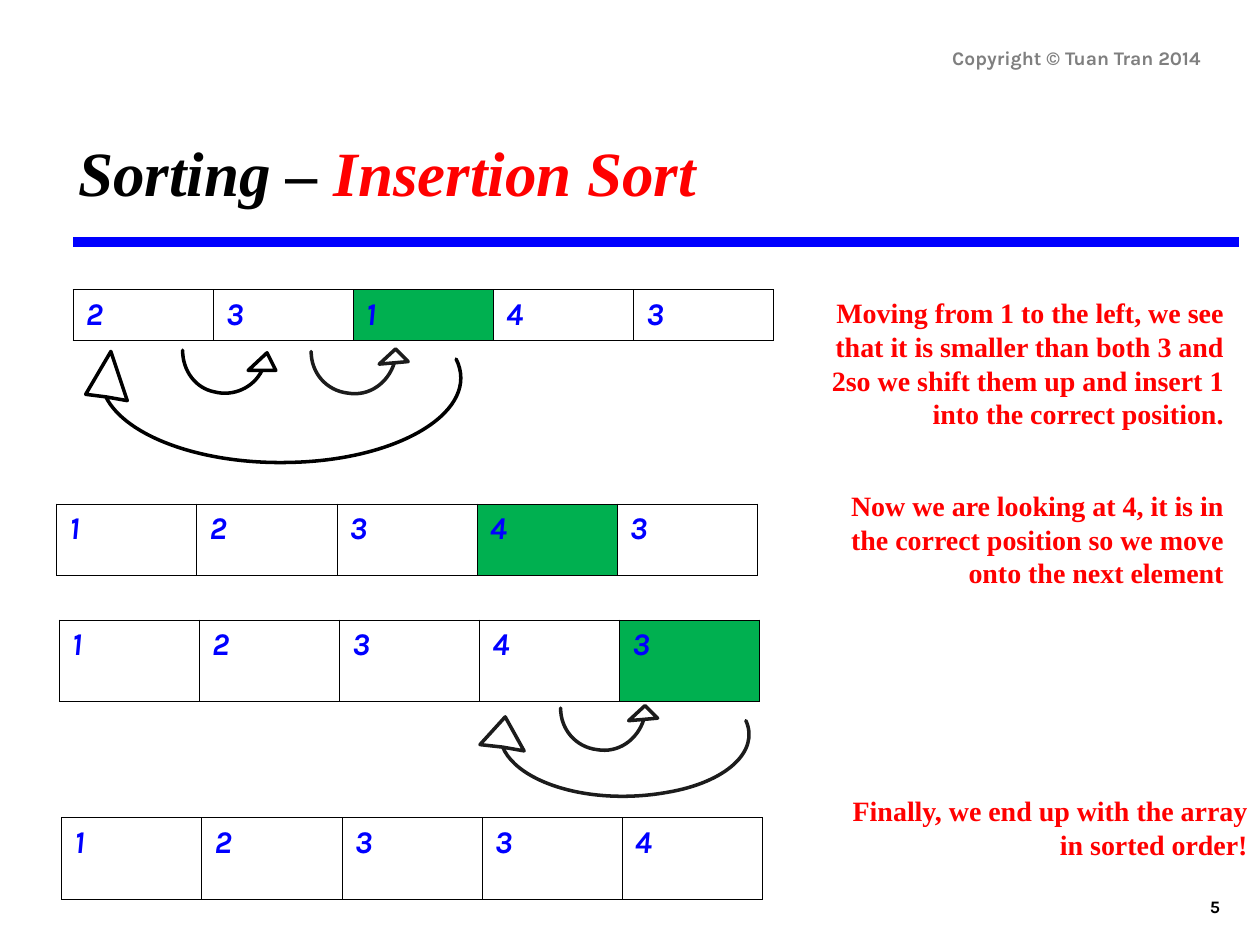
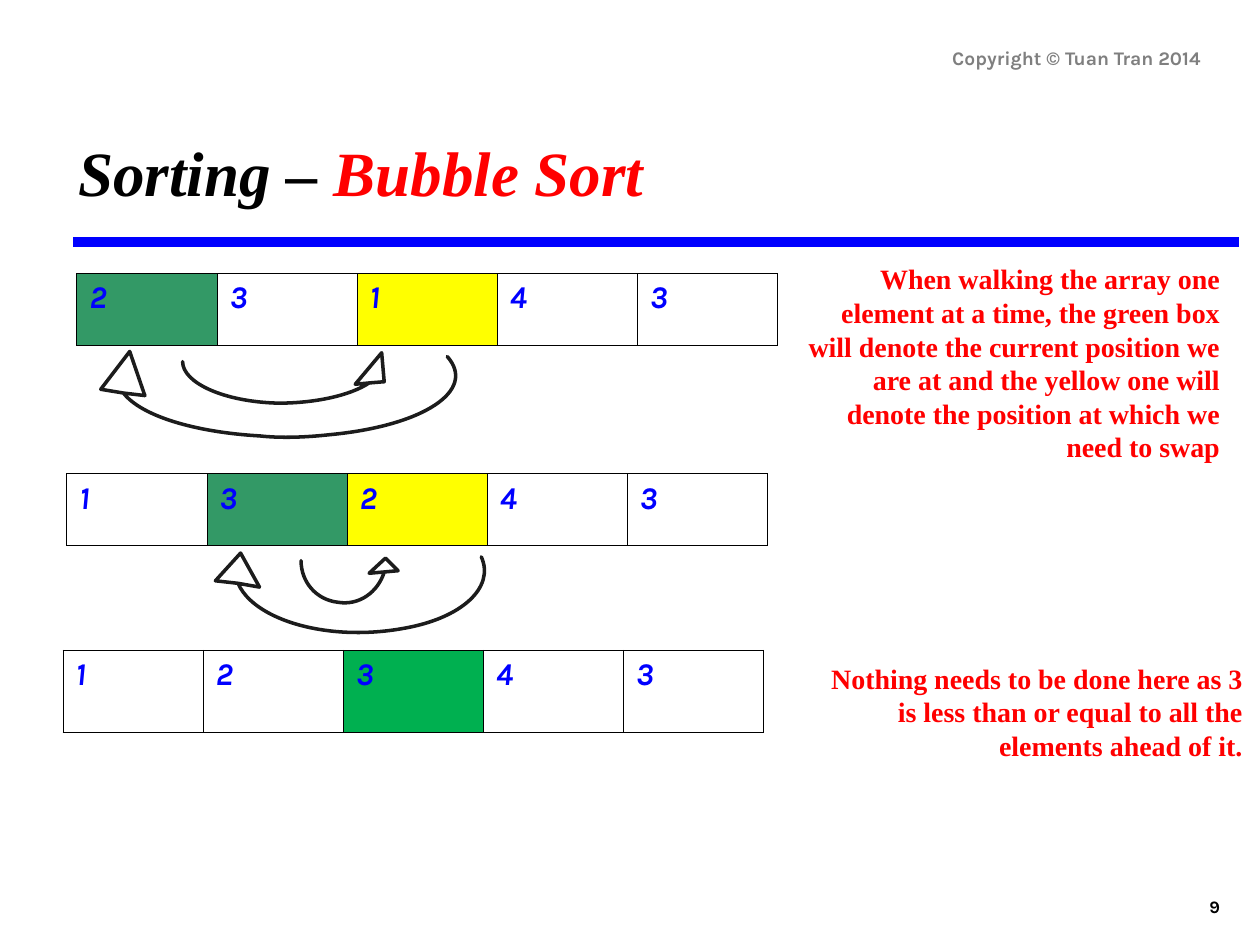
from lxml.etree import SubElement
from pptx import Presentation
from pptx.dml.color import RGBColor
from pptx.enum.shapes import MSO_CONNECTOR
from pptx.enum.text import MSO_ANCHOR, MSO_AUTO_SIZE, PP_ALIGN
from pptx.oxml.ns import qn
from pptx.util import Inches, Pt

BLACK = RGBColor(0x00, 0x00, 0x00)
WHITE = RGBColor(0xFF, 0xFF, 0xFF)
RED = RGBColor(0xFF, 0x00, 0x00)
BLUE = RGBColor(0x00, 0x00, 0xFF)
GRAY = RGBColor(0x7F, 0x7F, 0x7F)
INK = RGBColor(0x1C, 0x1C, 0x1C)
GREEN = RGBColor(0x00, 0xB0, 0x50)
SEA_GREEN = RGBColor(0x33, 0x99, 0x66)
YELLOW = RGBColor(0xFF, 0xFF, 0x00)

SERIF = "Times New Roman"
SANS = "Karla"
ARRAY_WIDTH = 5.56
NOTE_WIDTH = 3.48

HOP = {
    "size": (0.9, 0.9),
    "tail": (0.12, 0.45),
    "curves": [((0.12, 0.62), (0.24, 0.76), (0.41, 0.78)),
               ((0.58, 0.81), (0.73, 0.70), (0.78, 0.54))],
    "head": [(0.89, 0.53), (0.79, 0.43), (0.66, 0.55)]}
TALL_HOP = {
    "size": (0.9, 0.9),
    "tail": (0.12, 0.44),
    "curves": [((0.12, 0.60), (0.22, 0.74), (0.37, 0.77)),
               ((0.52, 0.81), (0.68, 0.74), (0.75, 0.60))],
    "head": [(0.86, 0.60), (0.79, 0.46), (0.64, 0.60)]}
LONG_HOP = {
    "size": (1.83, 0.9),
    "tail": (0.12, 0.45),
    "curves": [((0.12, 0.62), (0.45, 0.77), (0.88, 0.78)),
               ((1.17, 0.78), (1.45, 0.72), (1.60, 0.62))],
    "head": [(1.72, 0.61), (1.70, 0.38), (1.49, 0.63)]}
RETURN = {
    "size": (2.33, 1.33),
    "tail": (2.13, 0.55),
    "curves": [((2.24, 0.79), (1.98, 1.04), (1.50, 1.12)),
               ((1.33, 1.15), (1.14, 1.16), (0.95, 1.14)),
               ((0.57, 1.10), (0.28, 0.95), (0.20, 0.76))],
    "head": [(0.02, 0.74), (0.22, 0.52), (0.37, 0.79)]}
LONG_RETURN = {
    "size": (3.04, 1.33),
    "tail": (2.80, 0.51),
    "curves": [((3.04, 0.78), (2.61, 1.06), (1.87, 1.13)),
               ((1.69, 1.15), (1.49, 1.16), (1.31, 1.14)),
               ((0.79, 1.11), (0.37, 0.98), (0.23, 0.80))],
    "head": [(0.05, 0.77), (0.28, 0.47), (0.40, 0.82)]}
DEEP_RETURN = {
    "size": (3.18, 1.67),
    "tail": (2.98, 0.68),
    "curves": [((3.18, 1.08), (2.55, 1.48), (1.67, 1.50)),
               ((0.98, 1.52), (0.36, 1.30), (0.20, 0.98))],
    "head": [(0.04, 0.96), (0.24, 0.62), (0.37, 1.01)]}


def add_span(para, text, font=SERIF, size=16, color=RED, bold=True, italic=False):
    span = para.add_run()
    span.text = text
    span.font.name = font
    span.font.size = Pt(size)
    span.font.color.rgb = color
    span.font.bold = bold
    span.font.italic = italic


def add_label(page, text, left, top, width, height, anchor=MSO_ANCHOR.TOP, **style):
    box = page.shapes.add_textbox(Inches(left), Inches(top), Inches(width), Inches(height))
    frame = box.text_frame
    frame.word_wrap = True
    frame.vertical_anchor = anchor
    para = frame.paragraphs[0]
    para.alignment = PP_ALIGN.RIGHT
    add_span(para, text, **style)


def add_note(page, text, left, top, height):
    add_label(page, text, left, top, NOTE_WIDTH, height)


def add_title(page, topic, width):
    title = page.shapes.title
    title.left, title.top = Inches(0.52), Inches(1.01)
    title.width, title.height = Inches(width), Inches(1.3)
    frame = title.text_frame
    frame.auto_size = MSO_AUTO_SIZE.NONE
    frame.word_wrap = False
    frame.margin_right = 0
    frame.vertical_anchor = MSO_ANCHOR.TOP
    para = frame.paragraphs[0]
    para.alignment = PP_ALIGN.LEFT
    add_span(para, "Sorting – ", size=36, color=BLACK, italic=True)
    add_span(para, topic, size=36, italic=True)


def add_rule(page):
    rule = page.shapes.add_connector(
        MSO_CONNECTOR.STRAIGHT, Inches(0.58), Inches(1.92), Inches(9.83), Inches(1.92))
    rule.line.color.rgb = BLUE
    rule.line.width = Pt(6)
    SubElement(rule._element.spPr, qn("a:effectLst"))


def add_page(deck, topic, title_width, number):
    page = deck.slides.add_slide(deck.slide_layouts[5])
    add_title(page, topic, title_width)
    add_rule(page)
    add_label(page, "Copyright © Tuan Tran 2014", 6.46, 0.33, 3.17, 0.27,
              anchor=MSO_ANCHOR.BOTTOM, font=SANS, size=11, color=GRAY)
    add_label(page, str(number), 7.7, 6.83, 2.08, 0.5,
              anchor=MSO_ANCHOR.BOTTOM, font=SANS, size=10, color=BLACK)
    return page


def outline_cell(cell):
    properties = cell._tc.get_or_add_tcPr()
    for position, side in enumerate(("a:lnL", "a:lnR", "a:lnT", "a:lnB")):
        border = properties.makeelement(qn(side), {"w": str(Pt(0.45))})
        fill = SubElement(border, qn("a:solidFill"))
        SubElement(fill, qn("a:srgbClr"), val=str(BLACK))
        properties.insert(position, border)


def add_array(page, values, left, top, height, marks=None):
    marks = marks or {}
    table = page.shapes.add_table(
        1, len(values), Inches(left), Inches(top),
        Inches(ARRAY_WIDTH), Inches(height)).table
    table.first_row = False
    table.horz_banding = False
    for index, value in enumerate(values):
        table.columns[index].width = Inches(ARRAY_WIDTH / len(values))
        cell = table.cell(0, index)
        cell.fill.solid()
        cell.fill.fore_color.rgb = marks.get(index, WHITE)
        outline_cell(cell)
        add_span(cell.text_frame.paragraphs[0], str(value),
                 font=SANS, size=18, color=BLUE, italic=True)


def add_step(outline, command, *points):
    step = SubElement(outline, qn(command))
    for x, y in points:
        SubElement(step, qn("a:pt"), x=str(Inches(x)), y=str(Inches(y)))


def draw_arrow_outline(outline, tail, curves, head):
    tip = curves[-1][-1]
    add_step(outline, "a:moveTo", tail)
    for curve in curves:
        add_step(outline, "a:cubicBezTo", *curve)
    for corner in head + [tip]:
        add_step(outline, "a:lnTo", corner)
    starts = [tail] + [curve[-1] for curve in curves[:-1]]
    for start, (first, second, _) in reversed(list(zip(starts, curves))):
        add_step(outline, "a:cubicBezTo", second, first, start)
    add_step(outline, "a:close")


def add_arrow(page, arrow, left, top, color=INK):
    width, height = (Inches(length) for length in arrow["size"])
    builder = page.shapes.build_freeform(0, 0)
    builder.add_line_segments([(width, 0), (width, height)])
    shape = builder.convert_to_shape(Inches(left), Inches(top))
    outline = shape._element.spPr.find(".//" + qn("a:path"))
    for step in list(outline):
        outline.remove(step)
    draw_arrow_outline(outline, arrow["tail"], arrow["curves"], arrow["head"])
    shape.shadow.inherit = False
    shape.fill.solid()
    shape.fill.fore_color.rgb = WHITE
    shape.line.color.rgb = color
    shape.line.width = Pt(2)


def build_insertion_sort(deck):
    page = add_page(deck, "Insertion Sort", 5.1, 5)
    add_array(page, (2, 3, 1, 4, 3), 0.58, 2.3, 0.4, {2: GREEN})
    add_array(page, (1, 2, 3, 4, 3), 0.45, 4, 0.57, {3: GREEN})
    add_array(page, (1, 2, 3, 4, 3), 0.47, 4.92, 0.65, {4: GREEN})
    add_array(page, (1, 2, 3, 3, 4), 0.49, 6.49, 0.65)
    add_arrow(page, HOP, 2.35, 2.34)
    add_arrow(page, TALL_HOP, 1.33, 2.34, BLACK)
    add_arrow(page, DEEP_RETURN, 0.64, 2.17, BLACK)
    add_arrow(page, HOP, 4.33, 5.17)
    add_arrow(page, RETURN, 3.79, 5.17)
    add_note(page, "Moving from 1 to the left, we see that it is smaller than both 3 and "
             "2so we shift them up and insert 1 into the correct position.", 6.33, 2.3, 1.17)
    add_note(page, "Now we are looking at 4, it is in the correct position so we move "
             "onto the next element", 6.33, 3.83, 0.9)
    add_note(page, "Finally, we end up with the array in sorted order!", 6.52, 6.25, 0.64)


def build_bubble_sort(deck):
    page = add_page(deck, "Bubble Sort", 4.69, 9)
    add_array(page, (2, 3, 1, 4, 3), 0.61, 2.17, 0.57, {0: SEA_GREEN, 2: YELLOW})
    add_array(page, (1, 3, 2, 4, 3), 0.53, 3.76, 0.57, {1: SEA_GREEN, 2: YELLOW})
    add_array(page, (1, 2, 3, 4, 3), 0.5, 5.16, 0.65, {2: GREEN})
    add_arrow(page, LONG_HOP, 1.33, 2.42)
    add_arrow(page, LONG_RETURN, 0.75, 2.32)
    add_arrow(page, HOP, 2.27, 4)
    add_arrow(page, RETURN, 1.69, 3.87)
    add_note(page, "When walking the array one element at a time, the green box will denote "
             "the current position we are at and the yellow one will denote the position "
             "at which we need to swap", 6.3, 2.03, 1.7)
    add_note(page, "Nothing needs to be done here as 3 is less than or equal to all the "
             "elements ahead of it.", 6.48, 5.2, 0.9)


def main():
    deck = Presentation()
    deck.slide_width, deck.slide_height = Inches(10), Inches(7.5)
    build_insertion_sort(deck)
    build_bubble_sort(deck)
    deck.save("out.pptx")


if __name__ == "__main__":
    main()
